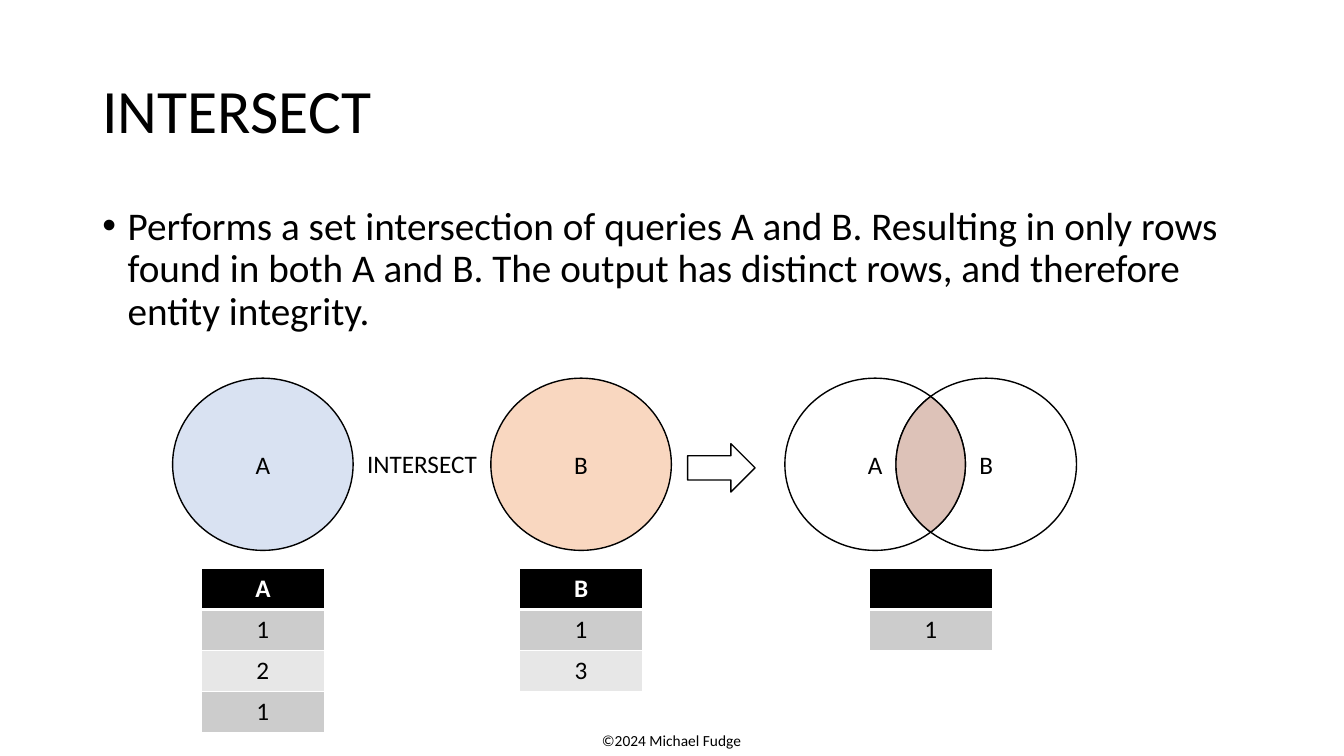
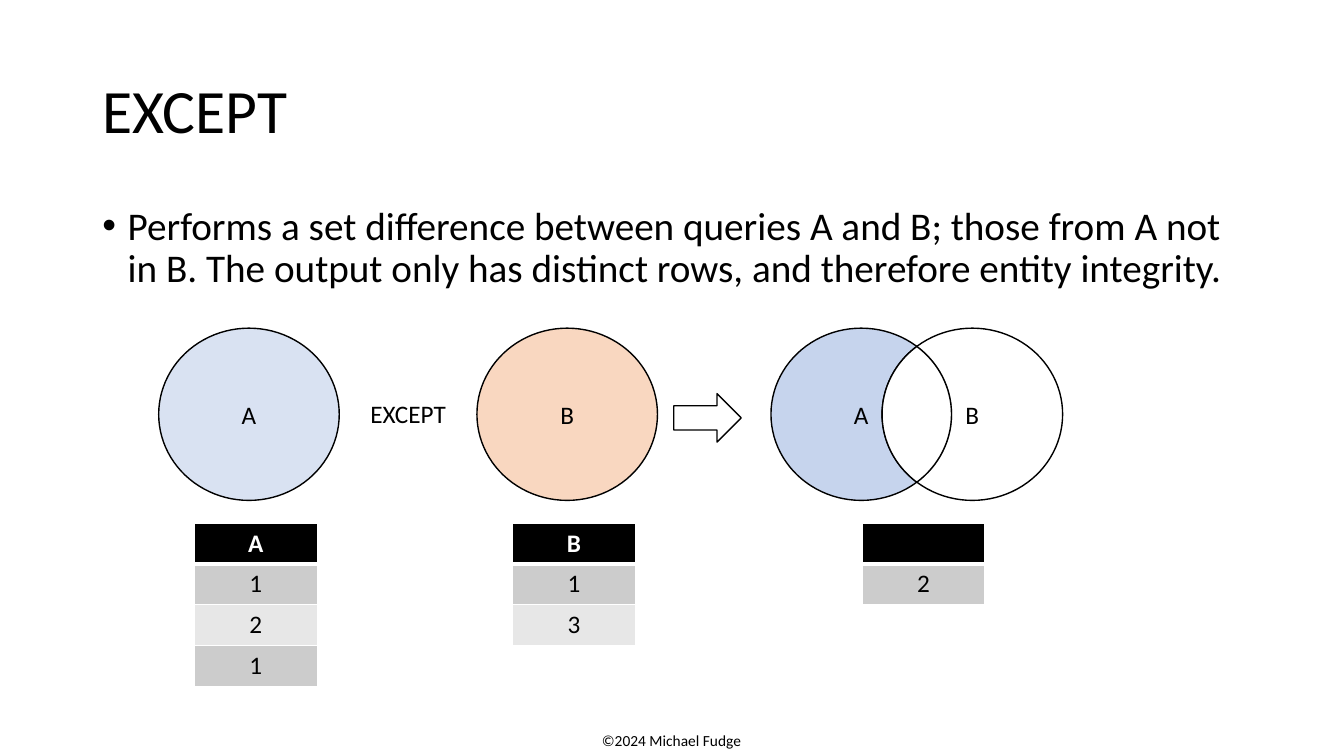
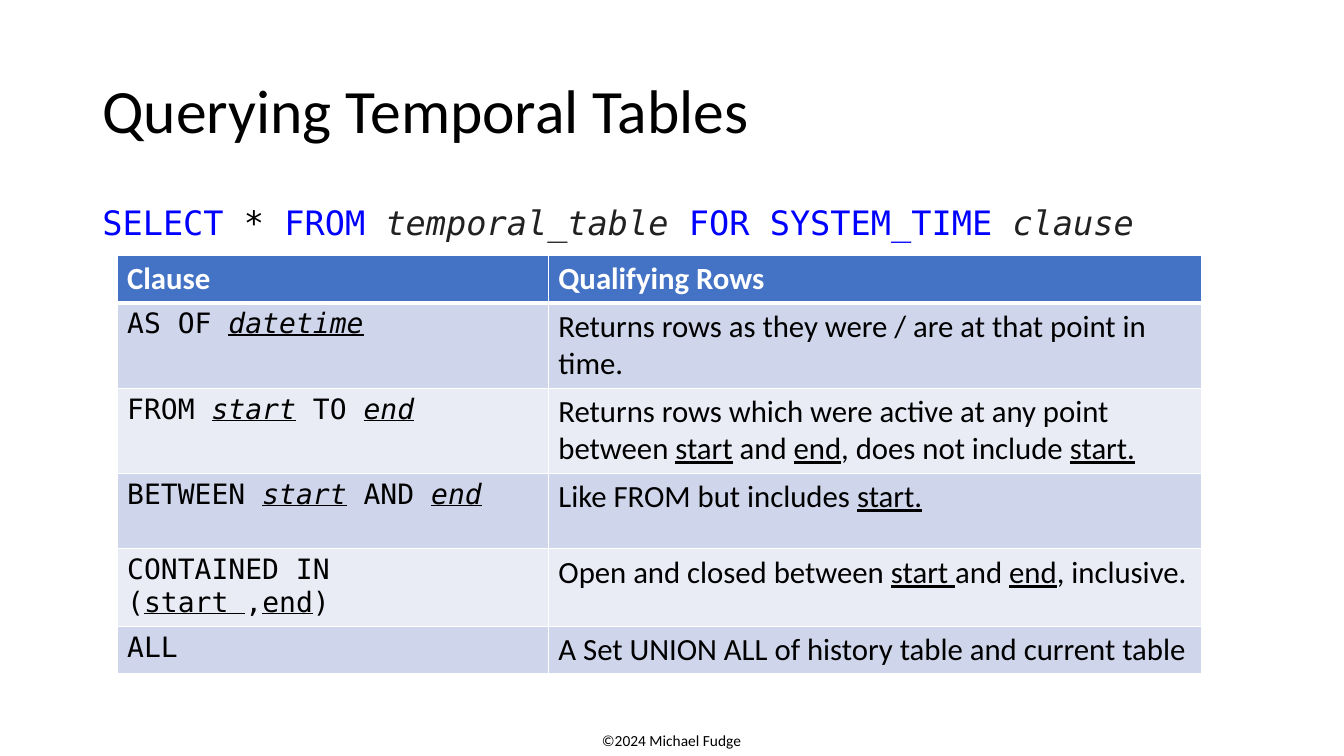
import math

import lxml.etree
import pptx
import pptx.dml.color
import pptx.enum.shapes
import pptx.enum.text
import pptx.oxml.ns
import pptx.util

Cm = pptx.util.Cm
Pt = pptx.util.Pt
SHAPE = pptx.enum.shapes.MSO_SHAPE
ALIGN = pptx.enum.text.PP_ALIGN
ANCHOR = pptx.enum.text.MSO_ANCHOR

BLACK, WHITE = "000000", "FFFFFF"
KEYWORD, VARIABLE = "0000FF", "212121"
SET_A, SET_B, SHARED, ONLY_A = "B4C7E7", "F4B183", "DDC2B8", "8FAADC"
GRAYS = (BLACK, "CCCCCC", "E7E7E7")
BLUES = ("4472C4", "CFD5EA", "E9EBF5")
SANS, MONO = "Calibri", "DejaVu Sans Mono"

MARGIN, CONTENT_WIDTH = 2.33, 29.21
CIRCLE_WIDTH, CIRCLE_HEIGHT = 4.55, 4.34
OVERLAP_STEP = 2.8
SET_TABLE_WIDTH, SET_ROW_HEIGHT = 3.1, 1.03


def color(value):
    return pptx.dml.color.RGBColor.from_string(value)


def add_xml(parent, tag, **attributes):
    return lxml.etree.SubElement(parent, pptx.oxml.ns.qn(tag), attributes)


def write(para, spans, font=SANS, size=18, ink=BLACK, bold=False):
    """Add spans (text, marks, ink); marks holds i for italic, u for underline."""
    for text, marks, span_ink in spans:
        if text == "\n":
            para.add_line_break()
            continue
        span = para.add_run()
        span.text = text
        span.font.name = font
        span.font.size = Pt(size)
        span.font.bold = bold
        span.font.italic = "i" in marks
        span.font.underline = "u" in marks
        span.font.color.rgb = color(span_ink or ink)


def plain(text):
    return [(text, "", None)] if text else []


def marked(*parts):
    """Read each part as text, with leading / for italic and _ for underline."""
    spans = []
    for part in parts:
        marks = ""
        while part[0] in "/_":
            marks += "i" if part[0] == "/" else "u"
            part = part[1:]
        spans.append((part, marks, None))
    return spans


class Slides:
    def __init__(self):
        self.deck = pptx.Presentation()
        self.deck.slide_width = Cm(33.87)
        self.deck.slide_height = Cm(19.05)
        self.page = None

    def start(self, title):
        self.page = self.deck.slides.add_slide(self.deck.slide_layouts[5])
        self.text(14.4, 18.31, 5.05, 0.74, plain("©2024 Michael Fudge"),
                  size=11, align=ALIGN.CENTER)
        box = self.page.shapes.title
        box.left, box.top = Cm(MARGIN), Cm(1.02)
        box.width, box.height = Cm(CONTENT_WIDTH), Cm(3.68)
        frame = box.text_frame
        frame.auto_size = pptx.enum.text.MSO_AUTO_SIZE.NONE
        frame.vertical_anchor = ANCHOR.MIDDLE
        para = frame.paragraphs[0]
        para.alignment = ALIGN.LEFT
        para.line_spacing = 0.9
        write(para, plain(title), size=44)

    def text(self, left, top, width, height, spans, font=SANS, size=18,
             align=ALIGN.LEFT):
        box = self.page.shapes.add_textbox(Cm(left), Cm(top), Cm(width), Cm(height))
        box.text_frame.word_wrap = True
        para = box.text_frame.paragraphs[0]
        para.alignment = align
        write(para, spans, font, size)
        return para

    def body(self, height, spans, font=SANS, size=28, bullet=False):
        para = self.text(MARGIN, 5.08, CONTENT_WIDTH, height, spans, font, size)
        para.line_spacing = 0.9
        para.space_before = Pt(10)
        if bullet:
            properties = para._p.get_or_add_pPr()
            properties.set("marL", str(Cm(0.64)))
            properties.set("indent", str(-Cm(0.64)))
            add_xml(properties, "a:buFont", typeface="Arial")
            add_xml(properties, "a:buChar", char="•")

    def finish(self, shape, fill=None, opacity=100):
        """Give a shape its black outline and its fill, opacity in percent."""
        shape.shadow.inherit = False
        shape.line.color.rgb = color(BLACK)
        shape.line.width = Pt(1)
        if fill is None:
            shape.fill.background()
            return
        shape.fill.solid()
        shape.fill.fore_color.rgb = color(fill)
        if opacity < 100:
            tint = shape.fill._xPr.find(".//" + pptx.oxml.ns.qn("a:srgbClr"))
            add_xml(tint, "a:alpha", val=str(opacity * 1000))

    def circle(self, left, top, label, fill=None):
        circle = self.page.shapes.add_shape(
            SHAPE.OVAL, Cm(left), Cm(top), Cm(CIRCLE_WIDTH), Cm(CIRCLE_HEIGHT))
        self.finish(circle, fill, 50)
        circle.text_frame.vertical_anchor = ANCHOR.MIDDLE
        para = circle.text_frame.paragraphs[0]
        para.alignment = ALIGN.CENTER
        write(para, plain(label))

    def arrow(self, left, top):
        self.finish(self.page.shapes.add_shape(
            SHAPE.RIGHT_ARROW, Cm(left), Cm(top), Cm(1.7), Cm(1.22)))

    def lens(self, left, top, fill):
        """Draw the overlap of two circles, the first of which starts at left."""
        radius_x, radius_y = CIRCLE_WIDTH / 2, CIRCLE_HEIGHT / 2
        reach = math.acos(OVERLAP_STEP / 2 / radius_x)
        steps = 32
        points = []
        for center, middle in ((left + radius_x, 0),
                               (left + radius_x + OVERLAP_STEP, math.pi)):
            for step in range(steps):
                angle = middle - reach + 2 * reach * step / steps
                points.append((Cm(center + radius_x * math.cos(angle)),
                               Cm(top + radius_y + radius_y * math.sin(angle))))
        outline = self.page.shapes.build_freeform(*points[0])
        outline.add_line_segments(points[1:], close=True)
        self.finish(outline.convert_to_shape(), fill)

    def cell(self, cell, fill, top_width, bottom_width):
        properties = cell._tc.get_or_add_tcPr()
        for side, width in (("L", 1), ("R", 1), ("T", top_width), ("B", bottom_width)):
            line = add_xml(properties, "a:ln" + side, w=str(Pt(width)))
            add_xml(add_xml(line, "a:solidFill"), "a:srgbClr", val=WHITE)
        cell.fill.solid()
        cell.fill.fore_color.rgb = color(fill)

    def table(self, left, top, widths, heights, rows, fills, fonts,
              header_size=18, align=ALIGN.LEFT):
        """Fill a table from rows of spans; fonts has (name, size) per column."""
        table = self.page.shapes.add_table(
            len(rows), len(widths), Cm(left), Cm(top),
            Cm(sum(widths)), Cm(sum(heights))).table
        table.horz_banding = False
        for column, width in zip(table.columns, widths):
            column.width = Cm(width)
        for index, (row, height) in enumerate(zip(rows, heights)):
            table.rows[index].height = Cm(height)
            header = index == 0
            fill = fills[0] if header else fills[2 - index % 2]
            for number, spans in enumerate(row):
                cell = table.cell(index, number)
                self.cell(cell, fill, 3 if index == 1 else 1, 3 if header else 1)
                para = cell.text_frame.paragraphs[0]
                para.alignment = align
                if header:
                    write(para, spans, SANS, header_size, WHITE, bold=True)
                else:
                    write(para, spans, *fonts[number])

    def set_table(self, center, top, values):
        self.table(center - SET_TABLE_WIDTH / 2, top, [SET_TABLE_WIDTH],
                   [SET_ROW_HEIGHT] * len(values), [[plain(value)] for value in values],
                   GRAYS, [(SANS, 18)], align=ALIGN.CENTER)

    def set_operation(self, name, left, top, table_top, table_shift, result,
                      left_fill, right_fill, lens_fill):
        """Draw A, the operator, B, an arrow, the outcome, and their tables."""
        b_left, outcome_left = left + 8.02, left + 15.43
        self.circle(left, top, "A", SET_A)
        self.circle(b_left, top, "B", SET_B)
        self.text(left + CIRCLE_WIDTH, top + 1.65, b_left - left - CIRCLE_WIDTH, 1.03,
                  plain(name), align=ALIGN.CENTER)
        self.arrow(left + 12.98, top + 1.65)
        self.circle(outcome_left, top, "A", left_fill)
        self.circle(outcome_left + OVERLAP_STEP, top, "B", right_fill)
        self.lens(outcome_left, top, lens_fill)
        middle = CIRCLE_WIDTH / 2 + table_shift
        for center, values in ((left + middle, ["A", "1", "2", "1"]),
                               (b_left + middle, ["B", "1", "3"]),
                               (outcome_left + OVERLAP_STEP / 2 + middle, ["", result])):
            self.set_table(center, table_top, values)


def main():
    slides = Slides()

    slides.start("INTERSECT")
    slides.body(3.99, plain(
        "Performs a set intersection of queries A and B. Resulting in only rows found "
        "in both A and B. The output has distinct rows, and therefore entity integrity."),
        bullet=True)
    slides.set_operation("INTERSECT", 4.35, 9.53, 14.33, 0, "1", None, None, SHARED)

    slides.start("EXCEPT")
    slides.body(2.82, plain(
        "Performs a set difference between queries A and B; those from A not in B. "
        "The output only has distinct rows, and therefore entity integrity."),
        bullet=True)
    slides.set_operation("EXCEPT", 4, 8.27, 13.18, 0.17, "2", ONLY_A, WHITE, WHITE)

    slides.start("Querying Temporal Tables")
    slides.body(1.57, [
        ("SELECT ", "", KEYWORD), ("* ", "", BLACK), ("FROM ", "", KEYWORD),
        ("temporal_table ", "i", VARIABLE), ("FOR SYSTEM_TIME ", "", KEYWORD),
        ("clause", "i", VARIABLE)], MONO, 24)
    clauses = [
        [plain("Clause"), plain("Qualifying Rows")],
        [marked("AS OF ", "/_datetime"),
         plain("Returns rows as they were / are at that point in time.")],
        [marked("FROM ", "/_start", " TO ", "/_end"),
         marked("Returns rows which were active at any point between ", "_start",
                " and ", "_end", ", does not include ", "_start.")],
        [marked("BETWEEN ", "/_start", " AND ", "/_end"),
         marked("Like FROM but includes ", "_start.")],
        [marked("CONTAINED IN", "\n", "(", "_start ", ",", "_end", ")"),
         marked("Open and closed between ", "_start ", "and ", "_end", ", inclusive.")],
        [plain("ALL"), plain("A Set UNION ALL of history table and current table")],
    ]
    slides.table(2.95, 6.44, [10.87, 16.46], [1.19, 2.15, 2.15, 1.9, 1.9, 1.19],
                 clauses, BLUES, [(MONO, 20), (SANS, 22)], header_size=22)

    slides.deck.save("out.pptx")


if __name__ == "__main__":
    main()
